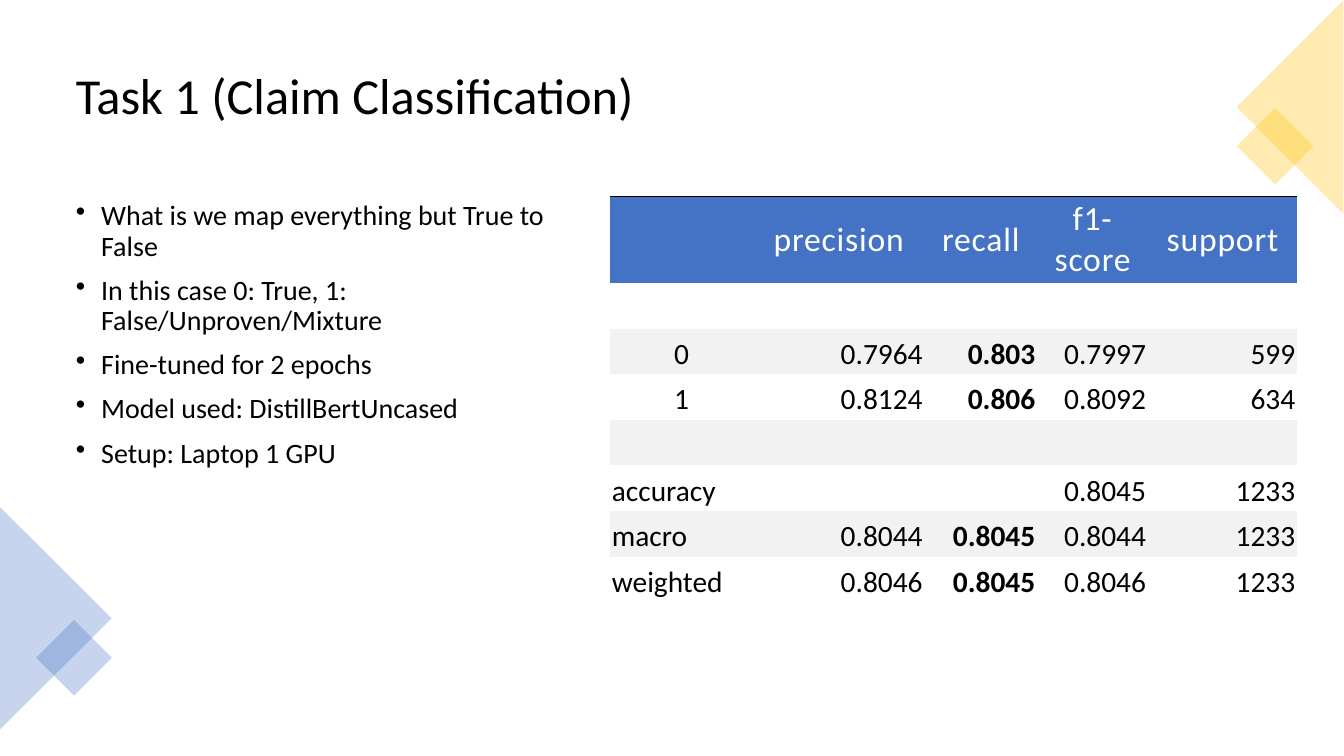
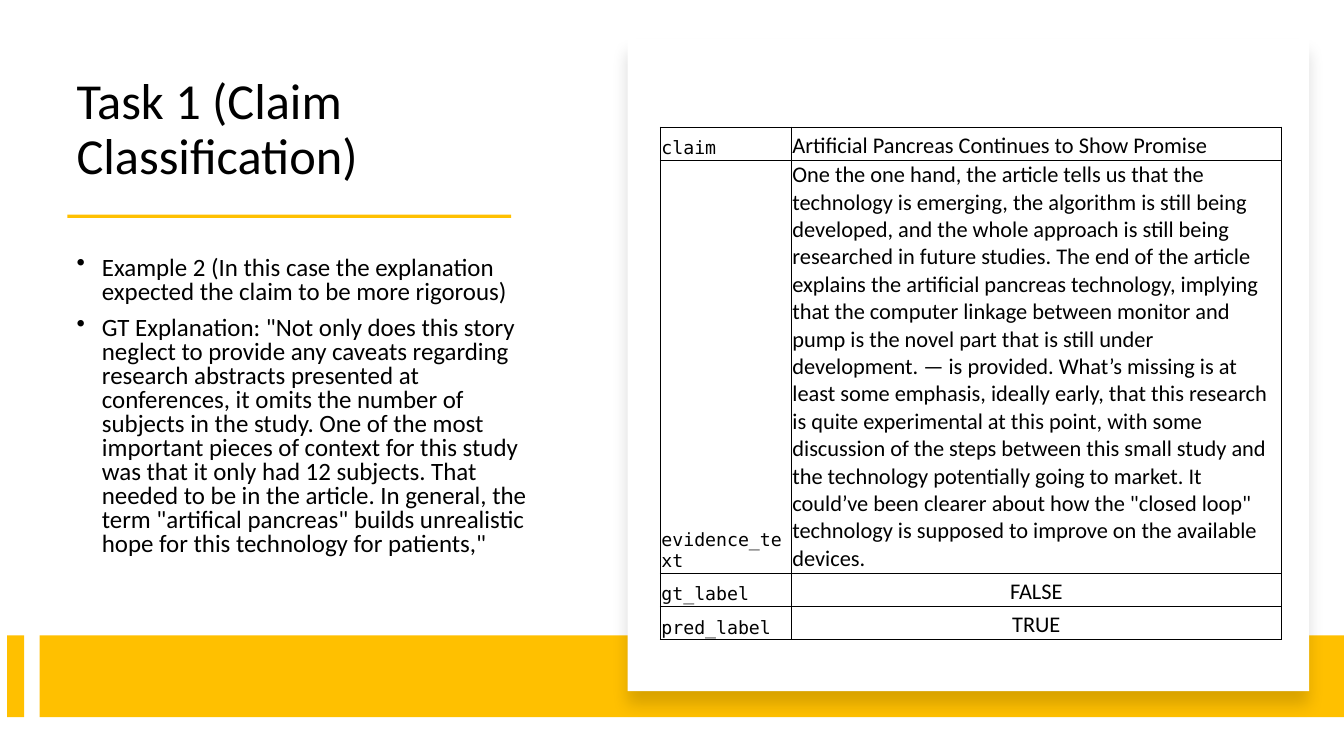
from lxml import etree
from pptx import Presentation
from pptx.dml.color import RGBColor
from pptx.enum.shapes import MSO_SHAPE
from pptx.enum.text import MSO_ANCHOR, PP_ALIGN
from pptx.oxml.ns import qn
from pptx.util import Cm, Pt

RECTANGLE = MSO_SHAPE.RECTANGLE
TRIANGLE = MSO_SHAPE.ISOSCELES_TRIANGLE
TOP, MIDDLE, BOTTOM = MSO_ANCHOR.TOP, MSO_ANCHOR.MIDDLE, MSO_ANCHOR.BOTTOM
LEFT, CENTER, RIGHT = PP_ALIGN.LEFT, PP_ALIGN.CENTER, PP_ALIGN.RIGHT

BLACK, WHITE, GREY = "000000", "FFFFFF", "F2F2F2"
BLUE, GOLD = "4472C4", "FFC000"
SANS, MONO = "Calibri", "DejaVu Sans Mono"
PLAIN_TABLE = "{2D5ABB26-0587-4C30-8999-92F81FD0307C}"
TITLE = "Task 1 (Claim Classification)"


def color(hex_text):
    return RGBColor.from_string(hex_text)


def add_xml(parent, tag, **attributes):
    return etree.SubElement(parent, qn(tag), attributes)


class Deck:
    """Hold the shared style and the current page, and draw each kind of element."""

    def __init__(self):
        self.deck = Presentation()
        self.deck.slide_width, self.deck.slide_height = Cm(33.87), Cm(19.05)
        self.page = None

    def new_page(self):
        self.page = self.deck.slides.add_slide(self.deck.slide_layouts[6])

    def style(self, para, size, font=SANS, ink=BLACK, bold=False):
        para.font.size, para.font.name, para.font.bold = Pt(size), font, bold
        para.font.color.rgb = color(ink)

    def text(self, place, lines, size, anchor, spacing=0.9):
        frame = self.page.shapes.add_textbox(*map(Cm, place)).text_frame
        frame.word_wrap, frame.vertical_anchor = True, anchor
        frame.margin_left = frame.margin_right = Cm(0.13)
        frame.margin_top = frame.margin_bottom = Cm(0.13)
        for index, line in enumerate(lines):
            para = frame.add_paragraph() if index else frame.paragraphs[0]
            para.text, para.line_spacing = line, spacing
            self.style(para, size)
        return frame.paragraphs

    def title(self, place, anchor):
        self.text(place, [TITLE], 36, anchor)

    def bullets(self, place, lines, size, gap, anchor=TOP, spacing=0.9):
        for para in self.text(place, lines, size, anchor, spacing):
            para.space_before = Pt(gap)
            properties = para._p.get_or_add_pPr()
            properties.set("marL", str(Cm(0.64)))
            properties.set("indent", str(-Cm(0.64)))
            bullet = add_xml(properties, "a:buChar", char="•")
            properties.get_or_add_defRPr().addprevious(bullet)

    def shape(self, place, fill, kind=RECTANGLE, turn=0, opacity=None):
        shape = self.page.shapes.add_shape(kind, *map(Cm, place))
        shape.shadow.inherit = False
        shape.rotation = turn
        shape.fill.solid()
        shape.fill.fore_color.rgb = color(fill)
        shape.line.fill.background()
        if opacity:
            paint = shape._element.spPr.find(qn("a:solidFill"))[0]
            add_xml(paint, "a:alpha", val=str(opacity * 1000))
        return shape

    def card(self, place):
        properties = self.shape(place, WHITE)._element.spPr
        shadow = add_xml(properties.find(qn("a:effectLst")), "a:outerShdw",
                         blurRad=str(Pt(11)), dist=str(Pt(10)),
                         dir="5400000", algn="t", rotWithShape="0")
        paint = add_xml(shadow, "a:srgbClr", val=BLACK)
        add_xml(paint, "a:alpha", val="15000")

    def table(self, left, top, widths, heights):
        frame = self.page.shapes.add_table(
            len(heights), len(widths), Cm(left), Cm(top),
            Cm(sum(widths)), Cm(sum(heights)))
        table = frame.table
        table._tbl.tblPr.find(qn("a:tableStyleId")).text = PLAIN_TABLE
        for column, width in zip(table.columns, widths):
            column.width = Cm(width)
        for row, height in zip(table.rows, heights):
            row.height = Cm(height)
        return table

    def cell(self, cell, text, size, margin, align=LEFT, anchor=BOTTOM,
             fill=None, edges=(), **font):
        cell.margin_left = cell.margin_right = Cm(margin)
        cell.margin_top = cell.margin_bottom = Cm(margin)
        cell.vertical_anchor = anchor
        for edge in edges:
            line = add_xml(cell._tc.get_or_add_tcPr(), "a:ln" + edge, w=str(Pt(0.5)))
            add_xml(add_xml(line, "a:solidFill"), "a:srgbClr", val=BLACK)
        if fill:
            cell.fill.solid()
            cell.fill.fore_color.rgb = color(fill)
        else:
            cell.fill.background()
        para = cell.text_frame.paragraphs[0]
        para.text, para.alignment = text, align
        self.style(para, size, **font)
        return para

    def score_table(self, left, top, widths, heights, rows):
        table = self.table(left, top, widths, heights)
        for column, text in enumerate(rows[0]):
            para = self.cell(table.cell(0, column), text, 24, 0.05, CENTER, MIDDLE,
                             BLUE, "T", ink=WHITE)
            para._p.get_or_add_pPr().get_or_add_defRPr().set("spc", "60")
        for row, texts in enumerate(rows[1:], 1):
            for column, text in enumerate(texts):
                label_align = CENTER if text.isdigit() else LEFT
                self.cell(table.cell(row, column), text, 21, 0.05,
                          RIGHT if column else label_align,
                          fill=None if row % 2 else GREY, bold=column == 2)

    def record_table(self, left, top, widths, heights, records):
        table = self.table(left, top, widths, heights)
        for row, (label, value) in enumerate(records):
            self.cell(table.cell(row, 0), label, 13, 0.03, edges="LRTB", font=MONO)
            self.cell(table.cell(row, 1), value, 16, 0.03,
                      CENTER if label.endswith("_label") else LEFT, edges="LRTB")


SCORES = [
    ("", "precision", "recall", "f1-score", "support"),
    ("", "", "", "", ""),
    ("0", "0.7964", "0.803", "0.7997", "599"),
    ("1", "0.8124", "0.806", "0.8092", "634"),
    ("", "", "", "", ""),
    ("accuracy", "", "", "0.8045", "1233"),
    ("macro", "0.8044", "0.8045", "0.8044", "1233"),
    ("weighted", "0.8046", "0.8045", "0.8046", "1233"),
]

RECORDS = [
    ("claim", "Artificial Pancreas Continues to Show Promise"),
    ("evidence_text",
     "One the one hand, the article tells us that the technology is emerging, the "
     "algorithm is still being developed, and the whole approach is still being "
     "researched in future studies. The end of the article explains the artificial "
     "pancreas technology, implying that the computer linkage between monitor and "
     "pump is the novel part that is still under development. — is provided. What’s "
     "missing is at least some emphasis, ideally early, that this research is quite "
     "experimental at this point, with some discussion of the steps between this "
     "small study and the technology potentially going to market. It could’ve been "
     "clearer about how the \"closed loop\" technology is supposed to improve on the "
     "available devices."),
    ("gt_label", "FALSE"),
    ("pred_label", "TRUE"),
]


def scores_page(deck):
    deck.new_page()
    deck.title((1.78, 0.89, 30.3, 3.15), MIDDLE)
    deck.bullets((1.78, 4.95, 12.24, 12.22), [
        "What is we map everything but True to False",
        "In this case 0: True, 1: False/Unproven/Mixture",
        "Fine-tuned for 2 epochs",
        "Model used: DistillBertUncased",
        "Setup: Laptop 1 GPU",
    ], 20, 10)
    deck.shape((-1.4, 14.17, 5.61, 2.82), BLUE, TRIANGLE, 90, 30)
    deck.shape((1.19, 15.9, 1.35, 1.35), BLUE, turn=45, opacity=30)
    deck.shape((31.45, 3, 1.37, 1.37), GOLD, turn=45, opacity=30)
    deck.shape((29.82, 1.35, 5.38, 2.69), GOLD, TRIANGLE, 270, 30)
    deck.score_table(15.37, 4.95, [3.61, 4.32, 2.84, 2.79, 3.76],
                     [2.18] + [1.15] * 7, SCORES)


def example_page(deck):
    deck.new_page()
    deck.title((1.8, 1.47, 11.89, 3.33), BOTTOM)
    deck.shape((1.7, 5.41, 11.18, 0.08), GOLD)
    deck.bullets((1.8, 5.38, 11.89, 9.75), [
        "Example 2 (In this case the explanation expected the claim to be more rigorous)",
        "GT Explanation: \"Not only does this story neglect to provide any caveats "
        "regarding research abstracts presented at conferences, it omits the number of "
        "subjects in the study. One of the most important pieces of context for this "
        "study was that it only had 12 subjects. That needed to be in the article. In "
        "general, the term \"artifical pancreas\" builds unrealistic hope for this "
        "technology for patients,\"",
    ], 17.8, 9, MIDDLE, 0.8)
    for left, width in ((0.18, 0.43), (1, 32.87)):
        deck.shape((left, 16.01, width, 2.06), GOLD)
    deck.card((15.82, 0.99, 17.17, 16.43))
    deck.record_table(16.64, 3.2, [3.3, 12.35], [0.84, 10.4, 0.84, 0.84], RECORDS)


def main():
    deck = Deck()
    scores_page(deck)
    example_page(deck)
    deck.deck.save("out.pptx")


if __name__ == "__main__":
    main()
